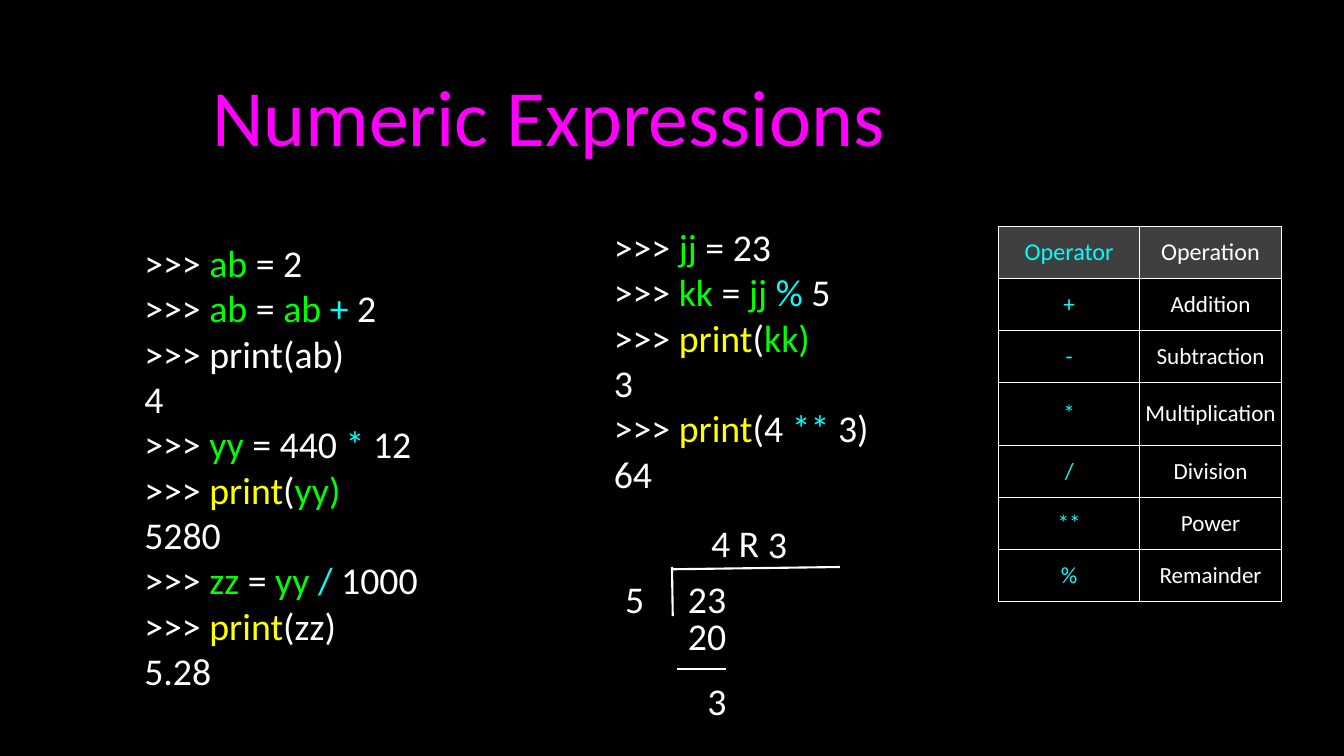
from dataclasses import dataclass

from lxml import etree
from pptx import Presentation
from pptx import util as u
from pptx.dml import color
from pptx.enum import shapes, text
from pptx.oxml import ns


@dataclass(frozen=True)
class Theme:
    background: str = "000000"
    title: str = "FF00FF"
    plain: str = "FFFFFF"
    variable: str = "00FF00"
    operator: str = "00FFFF"
    function: str = "FFFF00"
    header_fill: str = "7F7F7F"
    font: str = "Calibri"
    title_size: int = 76
    code_size: int = 36
    header_size: int = 23
    cell_size: int = 22
    border_width: float = 0.96
    line_width: float = 2


THEME = Theme()
LEFT, CENTER = text.PP_ALIGN.LEFT, text.PP_ALIGN.CENTER

# Code lines are lists of (text, colour) runs
PLAIN, VARIABLE = THEME.plain, THEME.variable
OPERATOR, FUNCTION = THEME.operator, THEME.function
PROMPT = (">>> ", PLAIN)
PRINT = ("print", FUNCTION)

LEFT_CODE = [
    [PROMPT, ("ab", VARIABLE), (" = 2", PLAIN)],
    [PROMPT, ("ab", VARIABLE), (" = ", PLAIN), ("ab ", VARIABLE),
     ("+", OPERATOR), (" 2", PLAIN)],
    [(">>> print(ab)", PLAIN)],
    [("4", PLAIN)],
    [PROMPT, ("yy", VARIABLE), (" = 440 ", PLAIN), ("*", OPERATOR), (" 12", PLAIN)],
    [PROMPT, PRINT, ("(", PLAIN), ("yy)", VARIABLE)],
    [("5280", PLAIN)],
    [PROMPT, ("zz", VARIABLE), (" = ", PLAIN), ("yy ", VARIABLE),
     ("/", OPERATOR), (" 1000", PLAIN)],
    [PROMPT, PRINT, ("(zz)", PLAIN)],
    [("5.28", PLAIN)],
]
RIGHT_CODE = [
    [(">>>", PLAIN), (" jj", VARIABLE), (" = 23", PLAIN)],
    [PROMPT, ("kk", VARIABLE), (" = ", PLAIN), ("jj ", VARIABLE),
     ("% ", OPERATOR), ("5", PLAIN)],
    [PROMPT, PRINT, ("(", PLAIN), ("kk)", VARIABLE)],
    [("3", PLAIN)],
    [PROMPT, PRINT, ("(4 ", PLAIN), ("**", OPERATOR), (" 3)", PLAIN)],
    [("64", PLAIN)],
]
OPERATIONS = [
    ("Operator", "Operation"),
    ("+", "Addition"),
    ("-", "Subtraction"),
    ("*", "Multiplication"),
    ("/", "Division"),
    ("**", "Power"),
    ("%", "Remainder"),
]


def rgb(value):
    return color.RGBColor.from_string(value)


def write_lines(frame, lines, size, align):
    for index, runs in enumerate(lines):
        paragraph = frame.add_paragraph() if index else frame.paragraphs[0]
        paragraph.alignment = align
        for words, run_color in runs:
            run = paragraph.add_run()
            run.text = words
            run.font.name = THEME.font
            run.font.size = u.Pt(size)
            run.font.color.rgb = rgb(run_color)


def add_text(slide, box, lines, size=THEME.code_size, align=LEFT, wrap=False):
    shape = slide.shapes.add_textbox(*map(u.Inches, box))
    frame = shape.text_frame
    frame.word_wrap = wrap
    frame.vertical_anchor = text.MSO_ANCHOR.MIDDLE
    frame.margin_left = frame.margin_right = 0
    frame.margin_top = frame.margin_bottom = 0
    write_lines(frame, lines, size, align)
    return shape


def add_line(slide, *ends):
    connector = slide.shapes.add_connector(
        shapes.MSO_CONNECTOR.STRAIGHT, *map(u.Inches, ends))
    connector.line.color.rgb = rgb(THEME.plain)
    connector.line.width = u.Pt(THEME.line_width)
    etree.SubElement(connector._element.spPr, ns.qn("a:effectLst"))


def set_borders(cell):
    properties = cell._tc.get_or_add_tcPr()
    for side in ("lnL", "lnR", "lnT", "lnB"):
        border = etree.SubElement(properties, ns.qn(f"a:{side}"),
                                  w=str(u.Pt(THEME.border_width)))
        fill = etree.SubElement(border, ns.qn("a:solidFill"))
        etree.SubElement(fill, ns.qn("a:srgbClr"), val=THEME.plain)


def fill_header(cell):
    cell.fill.solid()
    cell.fill.fore_color.rgb = rgb(THEME.header_fill)
    fill_color = cell._tc.tcPr.find(ns.qn("a:solidFill"))[0]
    etree.SubElement(fill_color, ns.qn("a:alpha"), val="50000")


def add_title(slide, box):
    add_text(slide, box, [[("Numeric Expressions", THEME.title)]],
             THEME.title_size, CENTER, wrap=True)


def add_operator_table(slide, box):
    table = slide.shapes.add_table(
        len(OPERATIONS), 2, *map(u.Inches, box)).table
    table.first_row = table.horz_banding = False
    for column in table.columns:
        column.width = u.Inches(box[2] / 2)
    for index, names in enumerate(OPERATIONS):
        tall = names[1] == "Multiplication"
        table.rows[index].height = u.Inches(0.83 if tall else 0.69)
        size = THEME.cell_size if index else THEME.header_size
        for column, name in enumerate(names):
            cell = table.cell(index, column)
            cell.vertical_anchor = text.MSO_ANCHOR.MIDDLE
            cell.margin_left = cell.margin_right = u.Inches(0.04)
            cell.margin_top = cell.margin_bottom = u.Inches(0.05)
            set_borders(cell)
            if index:
                cell.fill.background()
            else:
                fill_header(cell)
            write_lines(cell.text_frame,
                        [[(name, PLAIN if column else OPERATOR)]], size, CENTER)


def add_long_division(slide, box):
    left, top, width, _ = box
    # Division bracket
    add_line(slide, left + 0.64, top + 0.62, left + 0.65, top + 1.27)
    add_line(slide, left + 0.64, top + 0.65, left + width, top + 0.62)
    # Divisor, dividend, quotient, product and remainder
    numbers = [
        ("5", 0, 0.73, 0.29, 0),
        ("23", 0.82, 0.73, 0.57, 0),
        ("4 R 3", 1.09, 0, 1.14, 0.5),
        ("20", 0.82, 1.23, 0.57, 0),
        ("3", 1.09, 2.08, 0.29, 0),
    ]
    for number, x, y, number_width, rotation in numbers:
        shape = add_text(slide, (left + x, top + y, number_width, 0.6),
                         [[(number, PLAIN)]], align=CENTER)
        shape.rotation = rotation
    # Subtraction rule
    add_line(slide, left + 0.71, top + 1.97, left + 1.35, top + 1.97)


def main():
    presentation = Presentation()
    presentation.slide_width = u.Inches(17.78)
    presentation.slide_height = u.Inches(10)
    slide = presentation.slides.add_slide(presentation.slide_layouts[6])
    slide.background.fill.solid()
    slide.background.fill.fore_color.rgb = rgb(THEME.background)

    add_title(slide, (1.26, 0.26, 11.99, 2.51))
    add_text(slide, (1.91, 3.17, 4.1, 6), LEFT_CODE)
    add_text(slide, (8.12, 2.96, 3.81, 3.6), RIGHT_CODE)
    add_operator_table(slide, (13.21, 2.99, 3.74, 4.98))
    add_long_division(slide, (8.25, 6.88, 2.86, 2.68))
    presentation.save("out.pptx")


if __name__ == "__main__":
    main()
